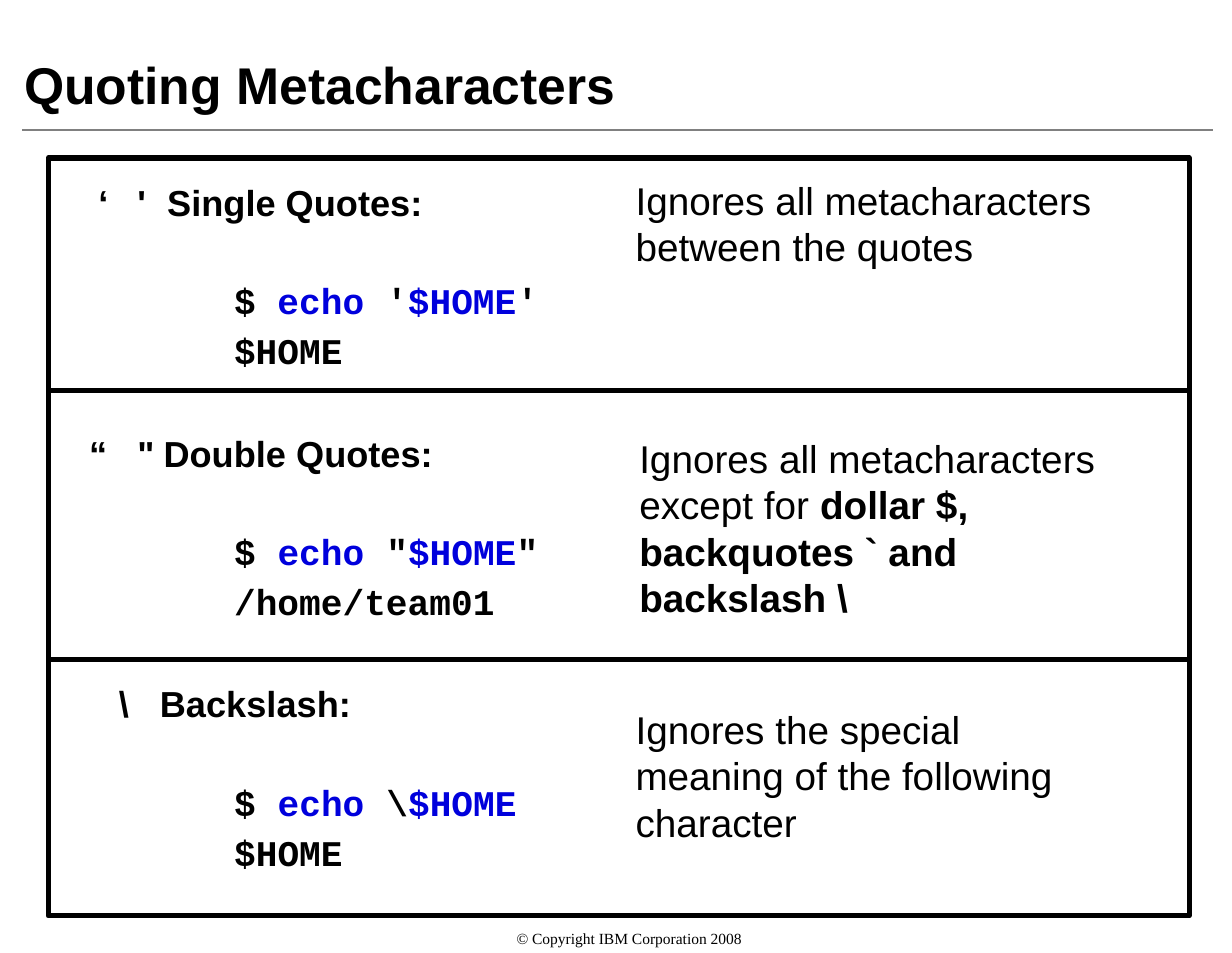
from lxml.etree import SubElement
from pptx import Presentation
from pptx.dml.color import RGBColor
from pptx.enum.shapes import MSO_CONNECTOR as Connector, MSO_SHAPE as Shape
from pptx.enum.text import MSO_ANCHOR as Anchor, PP_ALIGN as Align
from pptx.oxml.ns import qn
from pptx.util import Pt

PX = 9144
BLACK, BLUE, GRAY = "000000", "0000DC", "808080"
HEADING = {"name": "Arial", "size": Pt(14), "bold": True}
CODE = {"name": "Courier New", "size": Pt(14), "bold": True}
BODY = {"name": "Arial", "size": Pt(15), "bold": False}
STRONG = {**BODY, "bold": True}
TITLE = {"name": "Arial", "size": Pt(20), "bold": True}
FOOTER = {"name": "Times New Roman", "size": Pt(6), "bold": False}
CODE_INDENT = 100

SECTIONS = [
    {"top": 12, "mark": 27, "tabs": (21, 37),
     "heading": "‘\t'\tSingle Quotes:",
     "command": [("$ ", BLACK), ("echo ", BLUE), ("'", BLACK), ("$HOME", BLUE), ("'", BLACK)],
     "output": "$HOME", "note_at": (316, 10),
     "note": [("Ignores all metacharacters between the quotes", BODY)]},
    {"top": 147, "mark": 22, "tabs": (26, 40),
     "heading": "“\t\"\tDouble Quotes:",
     "command": [("$ ", BLACK), ("echo ", BLUE), ('"', BLACK), ("$HOME", BLUE), ('"', BLACK)],
     "output": "/home/team01", "note_at": (318, 149),
     "note": [("Ignores all metacharacters except for ", BODY),
              ("dollar $, backquotes ` and backslash \\", STRONG)]},
    {"top": 282, "mark": 38, "tabs": (22,),
     "heading": "\\\tBackslash:",
     "command": [("$ ", BLACK), ("echo ", BLUE), ("\\", BLACK), ("$HOME", BLUE)],
     "output": "$HOME", "note_at": (316, 295),
     "note": [("Ignores the special meaning of the following character", BODY)]},
]


def color(hex_text):
    """Turn a hex string into a colour."""
    return RGBColor.from_string(hex_text)


def apply(target, values):
    """Set each named attribute on the target."""
    for name, value in values.items():
        setattr(target, name, value)


def add_box(page, left, top, width, height, anchor=Anchor.TOP):
    """Add a wrapping text box without margins and return its frame."""
    frame = page.shapes.add_textbox(*(n * PX for n in (left, top, width, height))).text_frame
    apply(frame, {"word_wrap": True, "vertical_anchor": anchor, "margin_left": 0,
                  "margin_right": 0, "margin_top": 0, "margin_bottom": 0})
    return frame


def add_span(para, text, style, ink=BLACK):
    """Add one formatted run to a paragraph."""
    span = para.add_run()
    span.text = text
    apply(span.font, style)
    span.font.color.rgb = color(ink)


def add_rule(page, left, right, y, ink, weight):
    """Draw a horizontal line."""
    line = page.shapes.add_connector(Connector.STRAIGHT, left * PX, y * PX, right * PX, y * PX)
    apply(line.line, {"width": Pt(weight)})
    line.line.color.rgb = color(ink)
    SubElement(line._element.spPr, qn("a:effectLst"))


def add_title(page, left, top, width, height):
    """Place the title above its gray rule."""
    frame = add_box(page, left, top, width, height, Anchor.BOTTOM)
    add_span(frame.paragraphs[0], "Quoting Metacharacters", TITLE)
    add_rule(page, 12, 653, 70, GRAY, 1)


def add_section(page, left, top, section):
    """Place one quoting rule with its example and its explanation."""
    mark = section["mark"]
    frame = add_box(page, left + mark, top + section["top"], 300 - mark, 107)
    heading = frame.paragraphs[0]
    heading.space_after = Pt(2.6)
    tabs = SubElement(heading._p.get_or_add_pPr(), qn("a:tabLst"))
    for stop in section["tabs"]:
        SubElement(tabs, qn("a:tab"), pos=str(stop * PX), algn="l")
    add_span(heading, section["heading"], HEADING)
    for spans, gap in ((section["command"], 18.7), ([(section["output"], BLACK)], 0)):
        para = frame.add_paragraph()
        apply(para, {"space_before": Pt(gap), "space_after": Pt(2.6)})
        para._p.get_or_add_pPr().set("marL", str((CODE_INDENT - mark) * PX))
        for text, ink in spans:
            add_span(para, text, CODE, ink)
    across, down = section["note_at"]
    note = add_box(page, left + across, top + down, 258, 100).paragraphs[0]
    for text, style in section["note"]:
        add_span(note, text, style)


def add_panel(page, left, top, width, height):
    """Place the framed panel with its dividers and sections."""
    for section in SECTIONS:
        add_section(page, left, top, section)
    frame = page.shapes.add_shape(Shape.RECTANGLE, *(n * PX for n in (left, top, width, height)))
    frame.shadow.inherit = False
    frame.fill.background()
    frame.line.width = Pt(2)
    frame.line.color.rgb = color(BLACK)
    for offset in (125, 270):
        add_rule(page, left, left + width, top + offset, BLACK, 2)


def add_footer(page, left, top, width, height):
    """Place the centred copyright line."""
    para = add_box(page, left, top, width, height).paragraphs[0]
    para.alignment = Align.CENTER
    add_span(para, "© Copyright IBM Corporation 2008", FOOTER)


def main():
    """Build the slide and save it."""
    deck = Presentation()
    apply(deck, {"slide_width": 663 * PX, "slide_height": 513 * PX})
    page = deck.slides.add_slide(deck.slide_layouts[6])
    add_title(page, 13, 9, 635, 53)
    add_panel(page, 26, 85, 614, 408)
    add_footer(page, 24, 500, 629, 13)
    deck.save("out.pptx")


if __name__ == "__main__":
    main()
